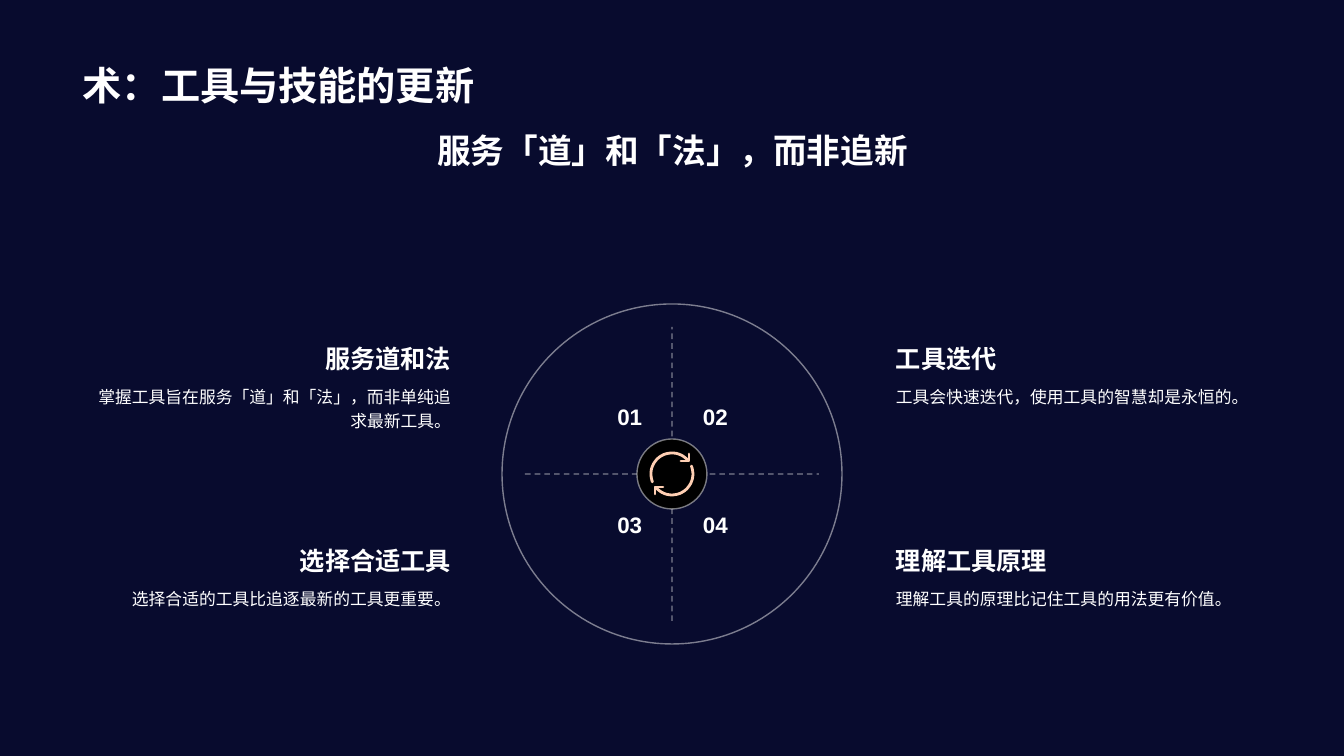
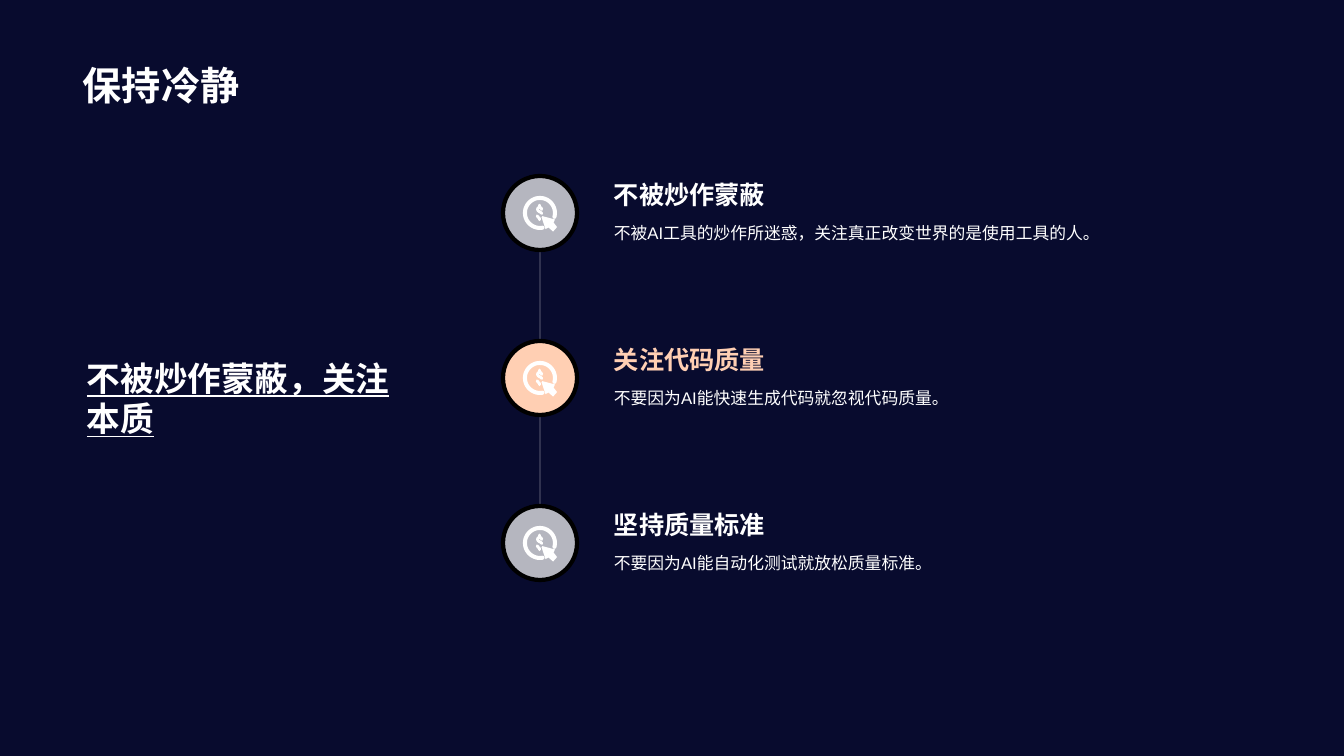
"""Builds two dark slides: a four-part wheel of tool advice and a three-step timeline."""
import math

import pptx
import pptx.dml.color
import pptx.enum.dml
import pptx.enum.shapes
import pptx.enum.text
import pptx.oxml
import pptx.oxml.ns
import pptx.util

WIDTH, HEIGHT = 1344, 756
PX = 12192000 / WIDTH
NAVY, WHITE, PALE, PEACH, BLACK = "080B2E", "FFFFFF", "F0F0F0", "FFCFB3", "000000"
LEFT, CENTER, RIGHT = (
    pptx.enum.text.PP_ALIGN.LEFT,
    pptx.enum.text.PP_ALIGN.CENTER,
    pptx.enum.text.PP_ALIGN.RIGHT,
)
TOP, MIDDLE, BOTTOM = (
    pptx.enum.text.MSO_ANCHOR.TOP,
    pptx.enum.text.MSO_ANCHOR.MIDDLE,
    pptx.enum.text.MSO_ANCHOR.BOTTOM,
)
OVAL = pptx.enum.shapes.MSO_SHAPE.OVAL
STRAIGHT = pptx.enum.shapes.MSO_CONNECTOR.STRAIGHT
LINE_TAG = pptx.oxml.ns.qn("a:ln")


def paint(fill, color, holder=None, opacity=100):
    """Fill with a hex colour; holder is the XML element that takes the opacity."""
    fill.solid()
    fill.fore_color.rgb = pptx.dml.color.RGBColor.from_string(color)
    if holder is not None:
        shade = holder.find(".//" + pptx.oxml.ns.qn("a:srgbClr"))
        alpha = pptx.oxml.parse_xml(f'<a:alpha {pptx.oxml.ns.nsdecls("a")} val="{opacity * 1000}"/>')
        shade.append(alpha)


def write(page, area, text, size, bold=True, align=LEFT, anchor=TOP, color=WHITE, spacing=1.0):
    """Add a wrapped one-paragraph text box and return its run."""
    box = page.shapes.add_textbox(*[round(length * PX) for length in area])
    box.text_frame.word_wrap = True
    box.text_frame.vertical_anchor = anchor
    para = box.text_frame.paragraphs[0]
    para.alignment = align
    para.line_spacing = spacing
    span = para.add_run()
    span.text = text
    span.font.name = "Arial"
    span.font.size = pptx.util.Pt(size)
    span.font.bold = bold
    paint(span.font.fill, color)
    return span


deck = pptx.Presentation()
deck.slide_width = round(WIDTH * PX)
deck.slide_height = round(HEIGHT * PX)
paint(deck.slide_master.background.fill, NAVY)

pages = []
for title in ("术：工具与技能的更新", "保持冷静"):
    page = deck.slides.add_slide(deck.slide_layouts[6])
    write(page, (73, 14, 1198, 99), title, 28, anchor=BOTTOM)
    pages.append(page)
wheel_page, timeline_page = pages

hub_x, hub_y = 672, 474
step_x, step_y, step_pitch, step_radius = 540, 213, 165, 37
rules = [
    (wheel_page, (hub_x - 147, hub_y, hub_x + 147, hub_y), 1, True),
    (wheel_page, (hub_x, hub_y + 147, hub_x, hub_y - 147), 1, True),
    (timeline_page, (step_x, step_y + step_radius, step_x, step_y + 2 * step_pitch - step_radius), 0.5, False),
]
for page, ends, weight, dashed in rules:
    rule = page.shapes.add_connector(STRAIGHT, *[round(length * PX) for length in ends])
    rule.line.width = pptx.util.Pt(weight)
    paint(rule.line.fill, PALE, rule.element.spPr.find(LINE_TAG), 50)
    if dashed:
        rule.line.dash_style = pptx.enum.dml.MSO_LINE.DASH
    rule.element.spPr.append(pptx.oxml.parse_xml(f'<a:effectLst {pptx.oxml.ns.nsdecls("a")}/>'))

discs = [
    (wheel_page, hub_x, hub_y, 170, None, 100, PALE, 50, 1),
    (wheel_page, hub_x, hub_y, 35, BLACK, 100, PALE, 50, 1),
]
for step, (color, opacity) in enumerate([(PALE, 75), (PEACH, 100), (PALE, 75)]):
    discs.append((timeline_page, step_x, step_y + step * step_pitch, step_radius, color, opacity, BLACK, 100, 3))
for page, x, y, radius, color, opacity, edge, edge_opacity, weight in discs:
    area = (x - radius, y - radius, 2 * radius, 2 * radius)
    disc = page.shapes.add_shape(OVAL, *[round(length * PX) for length in area])
    disc.shadow.inherit = False
    if color:
        paint(disc.fill, color, disc.element.spPr, opacity)
    else:
        disc.fill.background()
    disc.line.width = pptx.util.Pt(weight)
    paint(disc.line.fill, edge, disc.element.spPr.find(LINE_TAG), edge_opacity)

write(wheel_page, (75, 125, 1195, 109), "服务「道」和「法」，而非追新", 24, align=CENTER)
quarters = [
    ("服务道和法", "掌握工具旨在服务「道」和「法」，而非单纯追求最新工具。"),
    ("工具迭代", "工具会快速迭代，使用工具的智慧却是永恒的。"),
    ("选择合适工具", "选择合适的工具比追逐最新的工具更重要。"),
    ("理解工具原理", "理解工具的原理比记住工具的用法更有价值。"),
]
for index, (heading, body) in enumerate(quarters):
    row, column = divmod(index, 2)
    align = (RIGHT, LEFT)[column]
    x, y = 75 + column * 811, 328 + row * 202
    number_area = (596 + column * 97, 390 + row * 108, 56, 53)
    write(wheel_page, number_area, f"{index + 1:02}", 16, align=align, anchor=MIDDLE)
    write(wheel_page, (x, y, 386, 51), heading, 18, align=align, anchor=BOTTOM)
    write(wheel_page, (x, y + 50, 386, 95), body, 12, bold=False, align=align, spacing=1.2)

slogan = write(timeline_page, (77, 120, 328, 556), "不被炒作蒙蔽，关注本质", 24, anchor=MIDDLE)
slogan.font.underline = True
steps = [
    ("不被炒作蒙蔽", "不被AI工具的炒作所迷惑，关注真正改变世界的是使用工具的人。", WHITE),
    ("关注代码质量", "不要因为AI能快速生成代码就忽视代码质量。", PEACH),
    ("坚持质量标准", "不要因为AI能自动化测试就放松质量标准。", WHITE),
]
for step, (heading, body, color) in enumerate(steps):
    y = 143 + step * step_pitch
    write(timeline_page, (604, y, 611, 72), heading, 18, anchor=BOTTOM, color=color)
    write(timeline_page, (604, y + 71, 611, 108), body, 12, bold=False, spacing=1.2)

arcs = []
for radius, start, end in ((210, 158, 321), (210, 338, 501), (150, 80, 375)):
    angles = [math.radians(angle) for angle in [*range(start, end, 5), end]]
    arcs.append([(round(radius * math.cos(angle)), round(radius * math.sin(angle))) for angle in angles])
upper_arc, lower_arc, coin_ring = arcs
upper_tip = [(170, -200), (170, -130), (90, -130)]
lower_tip = [(-x, -y) for x, y in upper_tip]
dollar = [
    [(18, -35), (10, -52), (-5, -57), (-20, -50), (-25, -35), (-18, -22), (-5, -12), (10, -4), (18, 6)],
    [(-28, 28), (-20, 42), (-5, 53)],
    [(-5, -78), (-5, -57)],
    [(-5, 53), (-5, 68)],
]
pointer = [(25, 32), (150, 65), (136, 96), (171, 141), (131, 186), (86, 146), (55, 161), (15, 42)]

icons = [(wheel_page, hub_x, hub_y, PEACH, 2, [upper_arc, lower_arc, upper_tip, lower_tip])]
for step in range(3):
    for weight, contours in ((2.9, [coin_ring]), (2, dollar), (0, [pointer])):
        icons.append((timeline_page, step_x, step_y + step * step_pitch, WHITE, weight, contours))
for page, x, y, color, weight, contours in icons:
    placed = [[(x * 10 + across, y * 10 + down) for across, down in contour] for contour in contours]
    outline = page.shapes.build_freeform(*placed[0][0], scale=PX / 10)
    for contour in placed:
        outline.move_to(*contour[0])
        outline.add_line_segments(contour[1:], close=not weight)
    icon = outline.convert_to_shape()
    icon.shadow.inherit = False
    if weight:
        icon.fill.background()
        icon.line.width = pptx.util.Pt(weight)
        paint(icon.line.fill, color)
        icon.element.spPr.find(LINE_TAG).set("cap", "rnd")
    else:
        paint(icon.fill, color)
        icon.line.fill.background()

deck.save("out.pptx")
